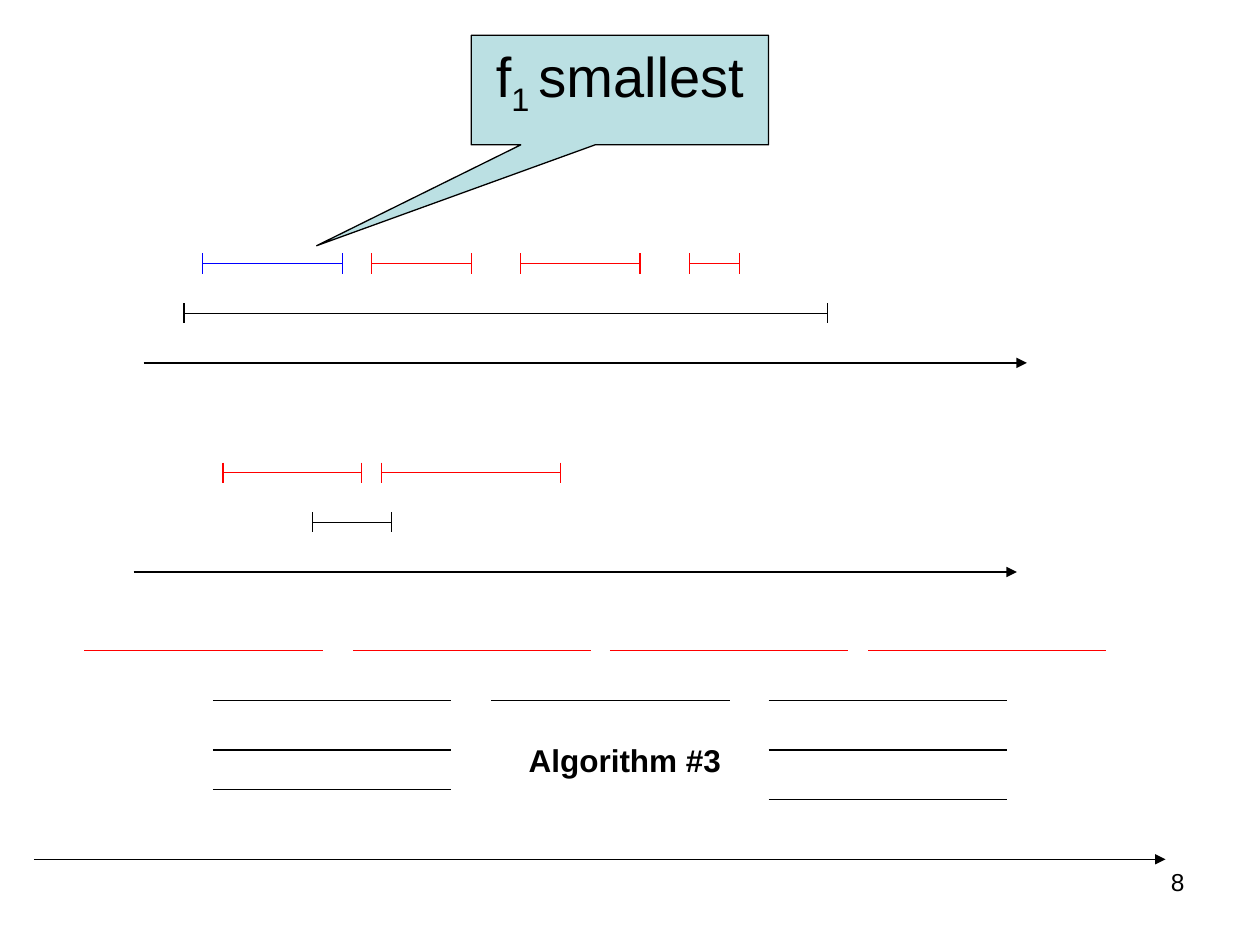
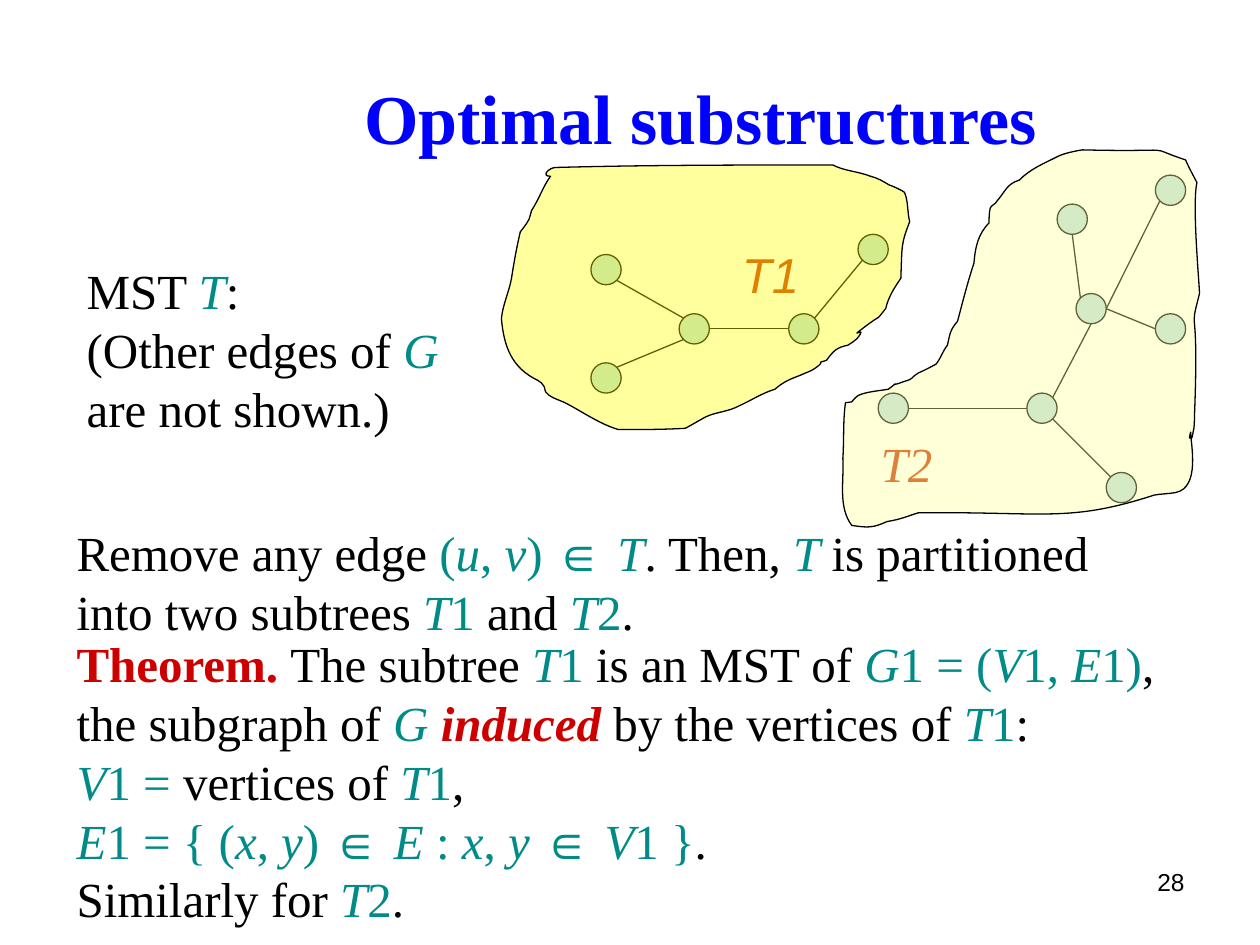
import math

from lxml import etree
from pptx import Presentation
from pptx.dml import color
from pptx.enum import shapes, text
from pptx.oxml import ns
from pptx.util import Emu, Pt

PX = 9144  # one px is a hundredth of an inch
BLACK, RED, BLUE, TEAL, CRIMSON = "000000", "FF0000", "0000FF", "008B88", "CD0000"
PALE_BLUE, YELLOW, CREAM, RUST = "BBE0E3", "FFFF00", "FFFF99", "CC3300"
SANS, SERIF = "Arial", "Times New Roman"
ROW = 39.4  # distance between rows of intervals
NODE = 24  # diameter of a graph vertex
SYMBOL = {"color": TEAL, "font": SERIF}
KEYWORD = {"color": CRIMSON, "bold": True}


def px(length):
    return Emu(round(length * PX))


def rgb(value):
    return color.RGBColor.from_string(value)


def var(name):
    return name, {**SYMBOL, "italic": True}


def sym(characters):
    return characters, SYMBOL


IN = ("∈ ", {"color": TEAL, "font": SANS})


# ---- shared helpers ----
def add_run(paragraph, content, size=28, font=SANS, color=BLACK, bold=False,
            italic=False, baseline=None):
    run = paragraph.add_run()
    run.text = content
    run.font.size, run.font.name = Pt(size), font
    run.font.bold, run.font.italic = bold, italic
    run.font.color.rgb = rgb(color)
    if baseline is not None:
        run._r.get_or_add_rPr().set("baseline", str(baseline * 1000))


def write(shape, paragraphs, align="LEFT", anchor="TOP", **style):
    """Fill a shape; a paragraph is a list of strings and (string, style) pairs."""
    frame = shape.text_frame
    frame.word_wrap = True
    frame.vertical_anchor = getattr(text.MSO_ANCHOR, anchor)
    for index, parts in enumerate(paragraphs):
        paragraph = frame.add_paragraph() if index else frame.paragraphs[0]
        paragraph.alignment = getattr(text.PP_ALIGN, align)
        for part in parts:
            content, changes = (part, {}) if isinstance(part, str) else part
            add_run(paragraph, content, **{**style, **changes})


def add_text(slide, box, paragraphs, **style):
    write(slide.shapes.add_textbox(*map(px, box)), paragraphs, **style)


def paint(shape, fill, opacity=None):
    shape.shadow.inherit = False
    shape.fill.solid()
    shape.fill.fore_color.rgb = rgb(fill)
    shape.line.color.rgb = rgb(BLACK)
    shape.line.width = Pt(0.75)
    if opacity is not None:
        solid = shape._element.spPr.find(ns.qn("a:solidFill"))
        etree.SubElement(solid[0], ns.qn("a:alpha")).set("val", str(opacity * 1000))


def add_line(slide, start, end, color=BLACK, arrow=False):
    connector = slide.shapes.add_connector(
        shapes.MSO_CONNECTOR.STRAIGHT, *map(px, (*start, *end)))
    connector.line.color.rgb = rgb(color)
    connector.line.width = Pt(0.75)
    if arrow:
        line = connector.line._get_or_add_ln()
        etree.SubElement(line, ns.qn("a:tailEnd")).set("type", "triangle")
    etree.SubElement(connector._element.spPr, ns.qn("a:effectLst"))


def add_page_number(slide, number):
    add_text(slide, (717, 683, 233, 52), [[str(number)]], align="RIGHT", size=14)


# ---- interval scheduling slide ----
def add_axis(slide, left, top, length):
    add_line(slide, (left, top), (left + length, top), arrow=True)


def add_interval(slide, left, top, length, color):
    right, tick = left + length, 8
    add_line(slide, (left, top), (right, top), color)
    for x in (left, right):
        add_line(slide, (x, top - tick), (x, top + tick), color)


def add_timeline(slide, left, top, intervals):
    """Intervals are (offset, rows above the axis, length, colour)."""
    add_axis(slide, left, top, 701)
    for offset, row, length, shade in intervals:
        add_interval(slide, left + offset, top - row * ROW, length, shade)


def add_bar_stack(slide, left, top):
    """Equal bars above an axis, given as colour, rows above it and offsets."""
    add_axis(slide, left, top, 898)
    bars = [(RED, 4.2, (40, 253, 457, 662)), (BLACK, 3.2, (142, 363, 583)),
            (BLACK, 2.2, (142, 583)), (BLACK, 1.4, (142,)), (BLACK, 1.2, (583,))]
    for shade, row, offsets in bars:
        y = top - row * ROW
        for x in offsets:
            add_line(slide, (left + x, y), (left + x + 189, y), shade)


def add_callout(slide, box):
    callout = slide.shapes.add_shape(
        shapes.MSO_SHAPE.RECTANGULAR_CALLOUT, *map(px, box))
    callout.adjustments[0], callout.adjustments[1] = -1.02, 1.42
    paint(callout, PALE_BLUE)
    write(callout, [["f", ("1 ", {"baseline": -25}), "smallest"]],
          align="CENTER", size=32)


def build_intervals(presentation):
    slide = presentation.slides.add_slide(presentation.slide_layouts[6])
    add_timeline(slide, 114, 288, [
        (32, 1, 511, BLACK), (47, 2, 111, BLUE), (181, 2, 79, RED),
        (299, 2, 95, RED), (433, 2, 40, RED)])
    add_callout(slide, (374, 28, 236, 87))
    add_timeline(slide, 106, 454, [
        (142, 1, 63, BLACK), (71, 2, 110, RED), (197, 2, 142, RED)])
    add_bar_stack(slide, 27, 682)
    add_text(slide, (396, 580, 200, 47), [["Algorithm #3"]],
             align="CENTER", anchor="MIDDLE", size=18, bold=True)
    add_page_number(slide, 8)


# ---- spanning tree slide ----
def add_region(slide, box, start, curves, fill):
    """Closed Bézier outline; each curve is two handles and an end point."""
    left, top, width, height = box
    builder = slide.shapes.build_freeform(left, top, scale=PX)
    builder.add_line_segments([(left + width, top + height)], close=True)
    region = builder.convert_to_shape()
    outline = next(region._element.iter(ns.qn("a:path")))
    for child in list(outline):
        outline.remove(child)

    def draw(command, numbers):
        element = etree.SubElement(outline, ns.qn(command))
        for x, y in zip(numbers[::2], numbers[1::2]):
            point = etree.SubElement(element, ns.qn("a:pt"))
            point.set("x", str(x))
            point.set("y", str(y))

    draw("a:moveTo", start)
    for curve in curves:
        draw("a:cubicBezTo", curve)
    draw("a:close", ())
    paint(region, fill, opacity=38)


def site(center, name):
    """Point on a vertex in a compass direction."""
    angle = math.radians(45 * ["E", "SE", "S", "SW", "W", "NW", "N", "NE"].index(name))
    return (center[0] + NODE / 2 * math.cos(angle),
            center[1] + NODE / 2 * math.sin(angle))


def add_tree(slide, left, top, centers, edges):
    centers = {name: (left + x, top + y) for name, (x, y) in centers.items()}
    for x, y in centers.values():
        vertex = slide.shapes.add_shape(
            shapes.MSO_SHAPE.OVAL,
            *map(px, (x - NODE / 2, y - NODE / 2, NODE, NODE)))
        paint(vertex, PALE_BLUE)
    for edge in edges.split(","):
        start, start_site, end, end_site = edge.split()
        add_line(slide, site(centers[start], start_site), site(centers[end], end_site))


T1_CENTERS = {"a": (83, 83), "b": (83, 169), "c": (153, 130), "d": (240, 130),
              "e": (295, 67)}
T1_EDGES = "a SE c NW,b NE c SW,c E d W,d NE e SW"
T2_CENTERS = {"f": (44, 209), "g": (162, 209), "h": (201, 130), "i": (186, 59),
              "j": (264, 36), "k": (264, 146), "l": (225, 272)}
T2_EDGES = "f E g W,g NE h S,g SE l NW,h NW i S,h E j SW,h E k W"
T1_CURVES = [
    (33, 17, 30, 27, 24, 36), (23, 38, 23, 41, 22, 43), (20, 47, 15, 53, 15, 53),
    (12, 66, 10, 77, 8, 90), (6, 101, 1, 111, 0, 122), (2, 144, 8, 161, 29, 171),
    (31, 172, 33, 174, 34, 176), (35, 177, 34, 180, 36, 181),
    (39, 185, 48, 187, 53, 190), (66, 197, 79, 206, 93, 210),
    (110, 210, 128, 210, 146, 209), (148, 208, 160, 201, 162, 200),
    (170, 196, 180, 196, 189, 191), (198, 187, 207, 181, 217, 178),
    (224, 172, 229, 170, 237, 167), (241, 165, 245, 164, 248, 162),
    (261, 153, 246, 159, 258, 155), (264, 147, 266, 145, 275, 143),
    (278, 141, 280, 140, 282, 138), (293, 125, 272, 141, 289, 128),
    (305, 116, 295, 126, 305, 114), (307, 105, 312, 97, 317, 90),
    (318, 64, 317, 63, 324, 45), (322, 37, 323, 29, 320, 22),
    (320, 21, 309, 16, 308, 16), (303, 13, 298, 10, 293, 9),
    (283, 5, 273, 5, 263, 0), (190, 0, 116, 0, 43, 2), (38, 2, 31, 9, 39, 9)]
T2_CURVES = [
    (280, 237, 288, 272, 268, 276), (262, 277, 256, 277, 251, 278),
    (183, 300, 165, 291, 64, 292), (54, 295, 51, 297, 39, 299),
    (28, 304, 24, 304, 11, 302), (0, 287, 5, 267, 4, 249), (5, 234, 4, 220, 6, 205),
    (6, 204, 9, 205, 11, 204), (13, 202, 14, 200, 16, 199),
    (22, 196, 34, 195, 40, 194), (51, 186, 39, 193, 52, 188),
    (62, 185, 56, 186, 64, 181), (69, 179, 78, 174, 78, 174),
    (82, 169, 83, 164, 87, 159), (89, 150, 89, 147, 95, 140),
    (99, 125, 103, 109, 108, 94), (109, 82, 111, 71, 120, 62),
    (120, 58, 120, 54, 121, 50), (122, 48, 125, 47, 126, 45),
    (133, 37, 134, 31, 144, 28), (153, 19, 163, 15, 175, 9), (181, 6, 194, 4, 194, 4),
    (277, 6, 240, 0, 276, 12), (279, 19, 282, 24, 285, 30),
    (281, 47, 287, 111, 287, 118), (278, 154, 287, 116, 283, 216),
    (283, 220, 283, 224, 282, 228), (281, 230, 282, 233, 280, 233),
    (278, 233, 280, 230, 280, 228)]


def add_statements(slide, left, top):
    style = {"size": 28, "font": SERIF}
    add_text(slide, (left + 8, top, 310, 144), [
        ["MST ", var("T"), ":"],
        ["(Other edges of ", var("G")],
        ["are not shown.)"]], **style)
    add_text(slide, (left, top + 208, 900, 99), [
        ["Remove any edge ", sym("("), var("u"), sym(", "), var("v"), sym(") "), IN,
         var("T"), ". Then, ", var("T "), "is partitioned"],
        ["into two subtrees ", var("T"), sym("1 "), "and ", var("T"), sym("2"), "."],
    ], **style)
    add_text(slide, (left, top + 296, 900, 234), [
        [("Theorem. ", KEYWORD), "The subtree ", var("T"), sym("1 "), "is an MST of ",
         var("G"), sym("1 = ("), var("V"), sym("1, "), var("E"), sym("1)"), ","],
        ["the subgraph of ", var("G "), ("induced ", {**KEYWORD, "italic": True}),
         "by the vertices of ", var("T"), sym("1"), ":"],
        [var("V"), sym("1 = "), "vertices of ", var("T"), sym("1"), ","],
        [var("E"), sym("1 = { ("), var("x"), sym(", "), var("y"), sym(") "), IN,
         var("E "), sym(": "), var("x"), sym(", "), var("y "), IN, var("V"),
         sym("1 }"), "."],
        ["Similarly for ", var("T"), sym("2"), "."]], **style)


def build_substructures(presentation):
    slide = presentation.slides.add_slide(presentation.slide_layouts[5])
    title = slide.shapes.title
    title.left, title.top, title.width, title.height = map(px, (156, 30, 800, 125))
    write(title, [["Optimal substructures"]], align="CENTER", anchor="MIDDLE",
          size=40, font=SERIF, color=BLUE, bold=True)
    # Trees and labels lie beneath the translucent regions
    add_tree(slide, 398, 131, T1_CENTERS, T1_EDGES)
    add_tree(slide, 665, 115, T2_CENTERS, T2_EDGES)
    label = {"anchor": "MIDDLE", "color": RUST, "italic": True}
    add_text(slide, (579, 186, 71, 63), [["T1"]], **label)
    add_text(slide, (689, 336, 71, 63), [["T2"]], font=SERIF, **label)
    add_region(slide, (665, 115, 287, 304), (280, 228), T2_CURVES, CREAM)
    add_region(slide, (398, 131, 324, 210), (39, 9), T1_CURVES, YELLOW)
    add_statements(slide, 51, 202)
    add_page_number(slide, 28)


def main():
    presentation = Presentation()
    presentation.slide_width, presentation.slide_height = px(1000), px(750)
    build_intervals(presentation)
    build_substructures(presentation)
    presentation.save("out.pptx")


if __name__ == "__main__":
    main()
